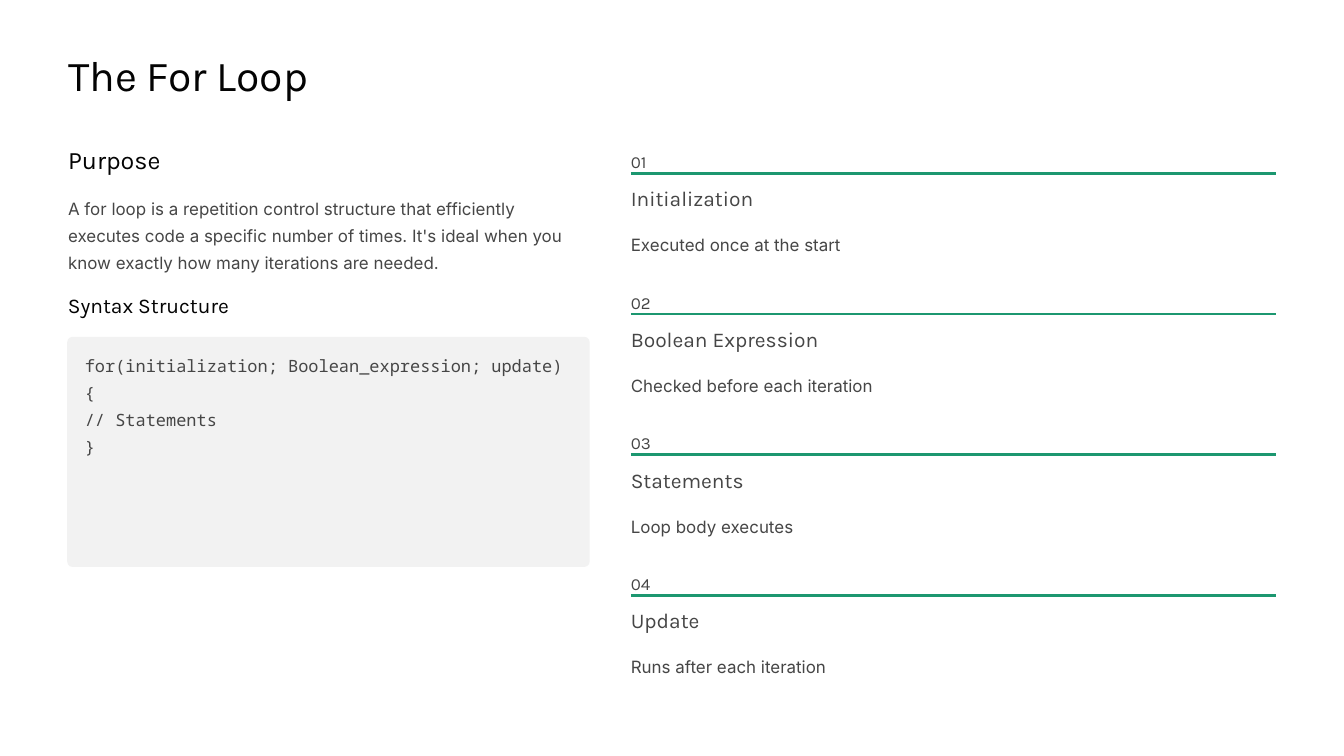
from dataclasses import dataclass

from lxml.etree import SubElement
from pptx import Presentation
from pptx.dml.color import RGBColor
from pptx.enum.shapes import MSO_CONNECTOR, MSO_SHAPE
from pptx.enum.text import MSO_ANCHOR, MSO_AUTO_SIZE, PP_ALIGN
from pptx.oxml.ns import qn
from pptx.util import Inches, Pt


@dataclass(frozen=True)
class TextStyle:
    """Font, size, line spacing and colour of one kind of text."""
    font: str
    size: float
    spacing: float
    color: str


@dataclass(frozen=True)
class Theme:
    """Colours and type styles of the slide."""
    background: str = "FFFFFF"
    panel: str = "F2F2F2"
    accent: str = "1C9770"
    rule_width: float = 2.16
    title: TextStyle = TextStyle("Karla", 36.5, 45.5, "030303")
    heading: TextStyle = TextStyle("Karla", 21.5, 27, "030303")
    subheading: TextStyle = TextStyle("Karla", 18, 22.5, "030303")
    step: TextStyle = TextStyle("Karla", 18, 22.5, "464646")
    number: TextStyle = TextStyle("Karla", 14.5, 23, "464646")
    body: TextStyle = TextStyle("Inter", 14.5, 23, "464646")
    code: TextStyle = TextStyle("Noto Sans Mono", 14.5, 23, "464646")


class SlideBuilder:
    """Places elements on a grid of 160 columns by 90 rows."""

    def __init__(self, presentation, theme):
        self.theme = theme
        self.column = presentation.slide_width / 160
        self.row = presentation.slide_height / 90
        self.slide = presentation.slides.add_slide(presentation.slide_layouts[1])
        fill = self.slide.background.fill
        fill.solid()
        fill.fore_color.rgb = RGBColor.from_string(theme.background)

    def area(self, left, top, width, height):
        """Turn grid units into slide lengths."""
        return (int(left * self.column), int(top * self.row),
                int(width * self.column), int(height * self.row))

    def set_lines(self, shape, lines, style, wrap=True):
        """Fill a shape with one paragraph per line."""
        frame = shape.text_frame
        frame.auto_size = MSO_AUTO_SIZE.NONE
        frame.word_wrap = wrap
        frame.vertical_anchor = MSO_ANCHOR.TOP
        frame.margin_left = frame.margin_top = 0
        frame.margin_right = frame.margin_bottom = 0
        for index, line in enumerate(lines):
            paragraph = frame.add_paragraph() if index else frame.paragraphs[0]
            paragraph.alignment = PP_ALIGN.LEFT
            paragraph.line_spacing = Pt(style.spacing)
            paragraph.space_before = paragraph.space_after = Pt(0)
            run = paragraph.add_run()
            run.text = line
            run.font.name = style.font
            run.font.size = Pt(style.size)
            run.font.color.rgb = RGBColor.from_string(style.color)

    def placeholder(self, index, place, text, style):
        """Move a template placeholder and set plain text in it."""
        shape = self.slide.placeholders[index]
        shape.left, shape.top, shape.width, shape.height = self.area(*place)
        self.set_lines(shape, [text], style)
        for paragraph in shape.text_frame.paragraphs:
            properties = paragraph._p.get_or_add_pPr()
            properties.set("marL", "0")
            properties.set("indent", "0")
            SubElement(properties, qn("a:buNone"))

    def text(self, place, lines, style, wrap=True):
        """Add a text box."""
        box = self.slide.shapes.add_textbox(*self.area(*place))
        self.set_lines(box, lines, style, wrap)

    def panel(self, place):
        """Add a filled panel with slightly rounded corners."""
        shape = self.slide.shapes.add_shape(
            MSO_SHAPE.ROUNDED_RECTANGLE, *self.area(*place))
        shape.adjustments[0] = 0.024
        shape.shadow.inherit = False
        shape.fill.solid()
        shape.fill.fore_color.rgb = RGBColor.from_string(self.theme.panel)
        shape.line.fill.background()

    def rule(self, left, top, width):
        """Add a horizontal accent line."""
        start, level, length, _ = self.area(left, top, width, 0)
        line = self.slide.shapes.add_connector(
            MSO_CONNECTOR.STRAIGHT, start, level, start + length, level)
        line.line.width = Pt(self.theme.rule_width)
        line.line.color.rgb = RGBColor.from_string(self.theme.accent)
        SubElement(line._element.spPr, qn("a:effectLst"))

    def step(self, number, left, top, width, name, detail):
        """Add a numbered step with its rule, name and detail."""
        theme = self.theme
        self.text((left, top, 2, 2.5), [f"{number:02}"], theme.number, wrap=False)
        self.rule(left, top + 3.35, width)
        self.text((left, top + 4.7, 25.4, 3.2), [name], theme.step)
        self.text((left, top + 9.9, width, 3.3), [detail], theme.body)


def main():
    """Build the slide and save it."""
    presentation = Presentation()
    presentation.slide_width = Inches(16)
    presentation.slide_height = Inches(9)
    theme = Theme()
    builder = SlideBuilder(presentation, theme)

    left, width = 8.1, 62
    builder.placeholder(0, (left, 5.6, 50.8, 6.4), "The For Loop", theme.title)
    builder.text((left, 17, 30.5, 3.8), ["Purpose"], theme.heading)
    builder.placeholder(
        1, (left, 22.9, width, 9.8),
        "A for loop is a repetition control structure that efficiently executes "
        "code a specific number of times. It's ideal when you know exactly how "
        "many iterations are needed.", theme.body)
    builder.text((left, 34.7, 25.4, 3.2), ["Syntax Structure"], theme.subheading)
    builder.panel((8, 40.1, 62.2, 27.4))
    builder.text(
        (10.1, 41.6, 58.1, 9.8),
        ["for(initialization; Boolean_expression; update)", "{",
         "// Statements", "}"], theme.code)

    steps = [
        ("Initialization", "Executed once at the start"),
        ("Boolean Expression", "Checked before each iteration"),
        ("Statements", "Loop body executes"),
        ("Update", "Runs after each iteration"),
    ]
    for index, (name, detail) in enumerate(steps):
        builder.step(index + 1, 75.1, 17.3 + 16.74 * index, 76.8, name, detail)

    presentation.save("out.pptx")


if __name__ == "__main__":
    main()
